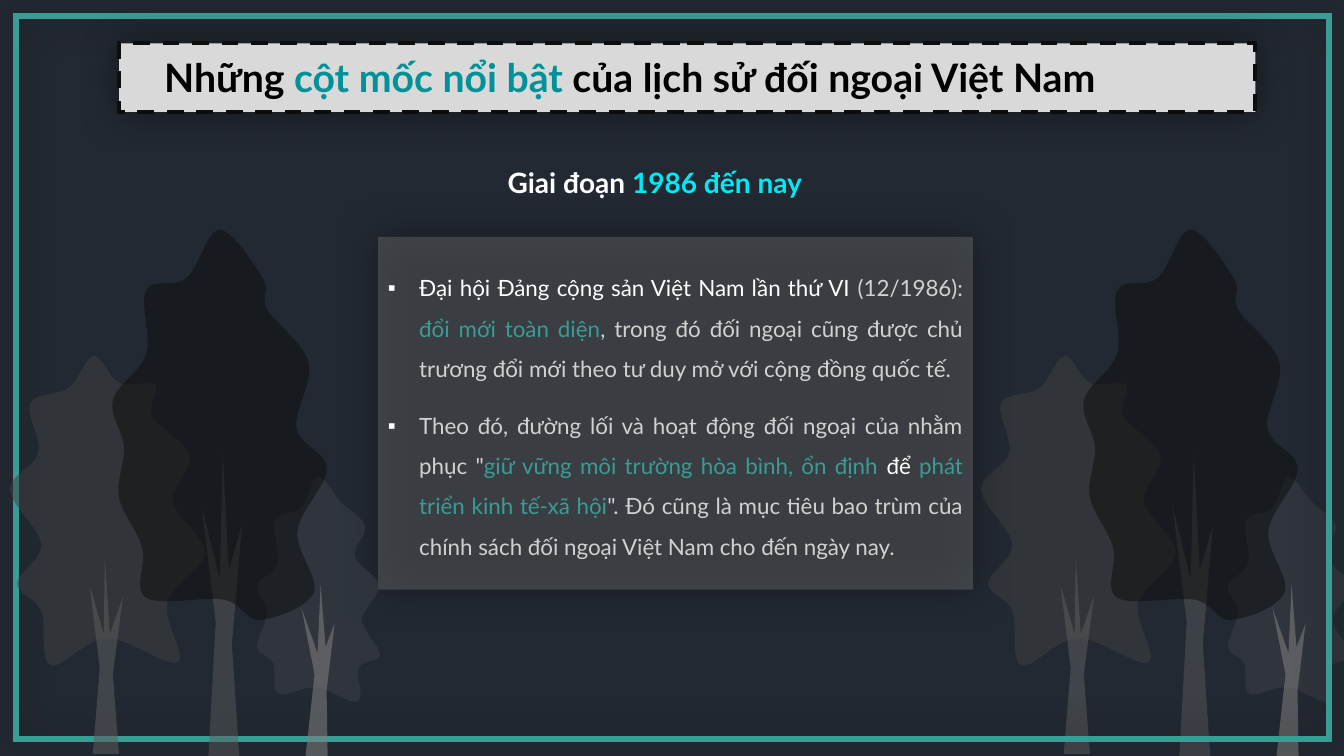
from lxml.etree import SubElement
from pptx import Presentation
from pptx.dml.color import RGBColor
from pptx.enum.dml import MSO_LINE
from pptx.enum.shapes import MSO_SHAPE
from pptx.enum.text import MSO_AUTO_SIZE, PP_ALIGN
from pptx.oxml.ns import qn
from pptx.util import Pt

PX = 9144  # EMU per px, 100 px to the inch
SLIDE_W, SLIDE_H = 1333, 750
FONT = "Lato"
BULLET_FONT = "Arial"

NIGHT = RGBColor(0x23, 0x29, 0x32)
TEAL = RGBColor(0x3A, 0x9C, 0x95)
DEEP_TEAL = RGBColor(0x01, 0x92, 0x99)
CYAN = RGBColor(0x01, 0xE9, 0xF5)
WHITE = RGBColor(0xFF, 0xFF, 0xFF)
BLACK = RGBColor(0x00, 0x00, 0x00)
PALE = RGBColor(0xD1, 0xD1, 0xD1)
BANNER = RGBColor(0xD9, 0xD9, 0xD9)
INK = RGBColor(0x0D, 0x0D, 0x0D)
CHARCOAL = RGBColor(0x40, 0x40, 0x40)
SLATE = RGBColor(0x3A, 0x3F, 0x47)
BARK = RGBColor(0x5C, 0x5C, 0x5C)
GREY = RGBColor(0x7F, 0x7F, 0x7F)

# Crown outlines are smooth curves through their points
BROAD_CROWN = [(106, 633), (50, 660), (41, 606), (17, 579), (41, 540), (10, 486),
               (38, 449), (30, 400), (68, 385), (93, 353), (118, 380), (154, 382),
               (151, 413), (188, 452), (172, 498), (203, 549), (166, 598), (176, 657)]
SMALL_CROWN = [(314, 682), (276, 688), (271, 658), (255, 642), (265, 607), (255, 581),
               (275, 559), (273, 516), (299, 504), (315, 473), (338, 498), (362, 522),
               (352, 552), (376, 581), (359, 615), (377, 650), (356, 662), (355, 696)]
TALL_CROWN = [(222, 595), (145, 593), (141, 543), (118, 493), (123, 444), (112, 397),
              (145, 351), (145, 288), (185, 276), (218, 228), (261, 277), (265, 307),
              (306, 360), (294, 425), (324, 465), (295, 527), (311, 588), (258, 615)]
BROAD_TRUNK = [(92, 748), (99, 663), (89, 581), (103, 629), (104, 553),
               (109, 629), (122, 592), (112, 669), (118, 748)]
SMALL_TRUNK = [(303, 751), (312, 669), (299, 603), (315, 648), (318, 580),
               (323, 642), (332, 618), (324, 685), (325, 752)]
TALL_TRUNK = [(206, 765), (214, 617), (200, 502), (218, 575), (221, 448),
              (227, 566), (240, 521), (230, 639), (238, 759)]

# Outline, colour, opacity in percent, curved; back to front
TREE_PARTS = [
    (BROAD_CROWN, CHARCOAL, 51, True),
    (BROAD_TRUNK, BARK, 54, False),
    (SMALL_CROWN, SLATE, 54, True),
    (SMALL_TRUNK, GREY, 57, False),
    (TALL_TRUNK, BARK, 47, False),
    (TALL_CROWN, INK, 50, True),
]

BULLETS = [
    [("Đại hội Đảng cộng sản Việt Nam lần thứ VI ", WHITE), ("(12/1986): ", PALE),
     ("đổi mới toàn diện", TEAL),
     (", trong đó đối ngoại cũng được chủ trương đổi mới theo tư duy mở với "
      "cộng đồng quốc tế. ", PALE)],
    [("Theo đó, đường lối và hoạt động đối ngoại của nhằm phục \"", PALE),
     ("giữ vững môi trường hòa bình, ổn định ", TEAL), ("để ", WHITE),
     ("phát triển kinh tế-xã hội", TEAL),
     ("\". Đó cũng là mục tiêu bao trùm của chính sách đối ngoại Việt Nam "
      "cho đến ngày nay. ", PALE)],
]


def curve_outline(shape):
    """Turn the sides of a closed outline into curves through its corners."""
    outline = next(shape.element.iter(qn("a:path")))
    corners = [(int(pt.get("x")), int(pt.get("y"))) for pt in outline.iter(qn("a:pt"))][:-1]
    count = len(corners)
    for i, side in enumerate(outline.findall(qn("a:lnTo"))):
        before, start, end, after = (corners[(i + k) % count] for k in (-1, 0, 1, 2))
        leaving = [s + (e - b) / 6 for b, s, e in zip(before, start, end)]
        arriving = [e - (a - s) / 6 for s, e, a in zip(start, end, after)]
        curve = outline.makeelement(qn("a:cubicBezTo"))
        for x, y in (leaving, arriving, end):
            SubElement(curve, qn("a:pt"), x=str(round(x)), y=str(round(y)))
        outline.replace(side, curve)


def set_fill(shape, color, opacity=100):
    shape.fill.solid()
    shape.fill.fore_color.rgb = color
    if opacity < 100:
        color_node = shape.element.spPr.find(qn("a:solidFill"))[0]
        SubElement(color_node, qn("a:alpha"), val=str(opacity * 1000))


def set_line(shape, color, width):
    shape.line.color.rgb = color
    shape.line.width = Pt(width)
    SubElement(shape.element.spPr.find(qn("a:ln")), qn("a:miter"), lim="800000")


def set_glow_shadow(shape, blur, opacity):
    shape.shadow.inherit = False
    effects = shape.element.spPr.find(qn("a:effectLst"))
    shadow = SubElement(effects, qn("a:outerShdw"), blurRad=str(Pt(blur)),
                        dist="0", dir="0", algn="ctr", rotWithShape="0")
    color_node = SubElement(shadow, qn("a:srgbClr"), val=str(BLACK))
    SubElement(color_node, qn("a:alpha"), val=str(opacity * 1000))


def add_rectangle(slide, box, blur, opacity):
    shape = slide.shapes.add_shape(MSO_SHAPE.RECTANGLE, *(v * PX for v in box))
    set_glow_shadow(shape, blur, opacity)
    return shape


def add_text(slide, box, paragraphs, run_format, paragraph_format):
    frame = slide.shapes.add_textbox(*(v * PX for v in box)).text_frame
    frame.word_wrap = True
    frame.auto_size = MSO_AUTO_SIZE.SHAPE_TO_FIT_TEXT
    for index, pieces in enumerate(paragraphs):
        paragraph = frame.add_paragraph() if index else frame.paragraphs[0]
        for name, value in paragraph_format.items():
            setattr(paragraph, name, value)
        if index:
            paragraph.space_before = Pt(6)
        for text, color in pieces:
            run = paragraph.add_run()
            run.text = text
            for name, value in run_format.items():
                setattr(run.font, name, value)
            run.font.color.rgb = color
    return frame


def add_forest(slide, left, top):
    for outline, color, opacity, curved in TREE_PARTS:
        corners = [((left + x) * PX, (top + y) * PX) for x, y in outline]
        builder = slide.shapes.build_freeform(*corners[0])
        builder.add_line_segments(corners[1:] + corners[:1], close=True)
        part = builder.convert_to_shape()
        if curved:
            curve_outline(part)
        set_fill(part, color, opacity)
        part.line.fill.background()
        part.shadow.inherit = False


def add_panel(slide, left, top, width, height):
    panel = add_rectangle(slide, (left, top, width, height), 30, 100)
    set_fill(panel, GREY, 35)
    panel.line.fill.background()


def add_border(slide, left, top, width, height):
    border = add_rectangle(slide, (left, top, width, height), 30, 40)
    border.fill.background()
    set_line(border, TEAL, 4.5)


def add_milestones(slide, left, top, width, height):
    frame = add_text(slide, (left, top + 19, width, height + 7), BULLETS,
                     {"name": FONT, "size": Pt(16)},
                     {"alignment": PP_ALIGN.JUSTIFY, "line_spacing": 1.5,
                      "space_after": Pt(6)})
    for paragraph in frame.paragraphs:
        properties = paragraph._p.get_or_add_pPr()
        properties.set("marL", str(31 * PX))
        properties.set("indent", str(-31 * PX))
        bullet_color = SubElement(properties, qn("a:buClr"))
        SubElement(bullet_color, qn("a:srgbClr"), val=str(WHITE))
        SubElement(properties, qn("a:buFont"), typeface=BULLET_FONT)
        SubElement(properties, qn("a:buChar"), char="▪")


def add_period(slide, left, top, width, height):
    add_text(slide, (left, top, width, height),
             [[("Giai đoạn ", WHITE), ("1986 đến nay", CYAN)]],
             {"name": FONT, "size": Pt(20), "bold": True},
             {"alignment": PP_ALIGN.CENTER})


def add_title(slide, left, top, width, height):
    banner = add_rectangle(slide, (left, top, width, height), 28, 40)
    banner.rotation = 180
    set_fill(banner, BANNER)
    banner.line.dash_style = MSO_LINE.DASH
    set_line(banner, INK, 3)
    frame = add_text(slide, (left - 15, top + 5, width + 32, height - 11),
                     [[("Những ", BLACK), ("cột mốc nổi bật ", DEEP_TEAL),
                       ("của lịch sử đối ngoại Việt Nam", BLACK)]],
                     {"name": FONT, "size": Pt(28), "bold": True},
                     {"alignment": PP_ALIGN.JUSTIFY, "space_after": Pt(6)})
    frame.paragraphs[0]._p.get_or_add_pPr().set("marL", str(50 * PX))


def main():
    deck = Presentation()
    deck.slide_width, deck.slide_height = SLIDE_W * PX, SLIDE_H * PX
    slide = deck.slides.add_slide(deck.slide_layouts[6])
    slide.background.fill.solid()
    slide.background.fill.fore_color.rgb = NIGHT

    panel_box = (375, 235, 590, 350)
    add_forest(slide, 963, 0)
    add_panel(slide, *panel_box)
    add_border(slide, 16, 16, 1302, 717)
    add_forest(slide, 0, 0)
    add_milestones(slide, *panel_box)
    add_period(slide, 81, 159, 1137, 44)
    add_title(slide, 118, 43, 1127, 68)
    deck.save("out.pptx")


if __name__ == "__main__":
    main()
